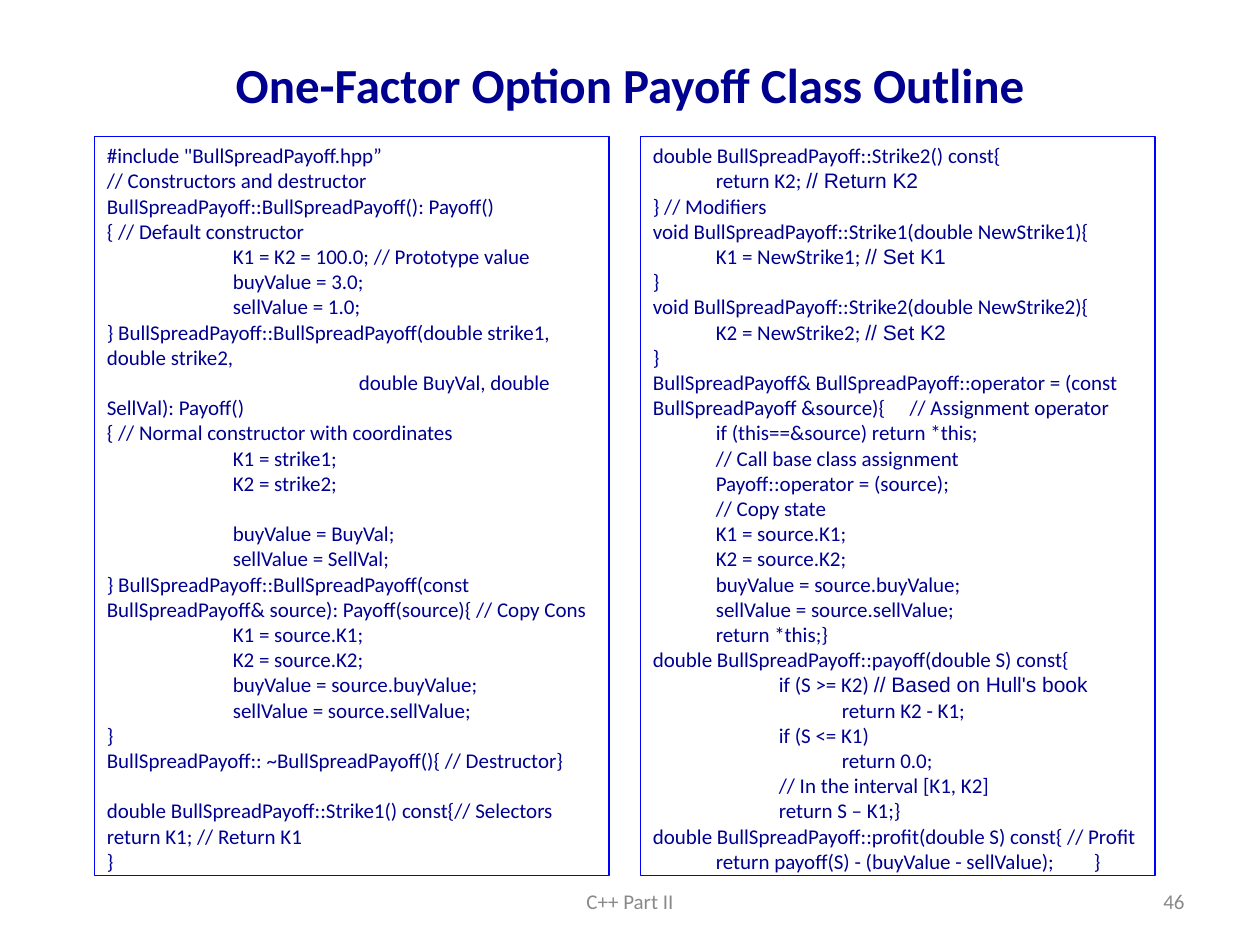
import dataclasses
import typing

import lxml.etree
import pptx
import pptx.dml.color
import pptx.enum.shapes
import pptx.enum.text
import pptx.oxml.ns
import pptx.util

Pt = pptx.util.Pt
Align = pptx.enum.text.PP_ALIGN
Anchor = pptx.enum.text.MSO_ANCHOR

COLORS = {"navy": "000090", "border": "0000FF", "footer": "898989"}
CODE_LEADING = 14.4


@dataclasses.dataclass(frozen=True)
class Line:
    text: str
    comment: str = ""
    blank_before: bool = False


@dataclasses.dataclass(frozen=True)
class Panel:
    left: float
    tab: float
    lines: typing.List[Line]


@dataclasses.dataclass(frozen=True)
class Label:
    text: str
    box: typing.Tuple[float, float, float, float]
    size: float
    color: str
    align: Align
    bold: bool = False


CONSTRUCTORS = [
    Line('#include "BullSpreadPayoff.hpp”'),
    Line("// Constructors and destructor"),
    Line("BullSpreadPayoff::BullSpreadPayoff(): Payoff()"),
    Line("{ // Default constructor"),
    Line("\tK1 = K2 = 100.0; // Prototype value"),
    Line("\tbuyValue = 3.0;"),
    Line("\tsellValue = 1.0;"),
    Line("} BullSpreadPayoff::BullSpreadPayoff(double strike1, double strike2,"
         "\v\t\tdouble BuyVal, double SellVal): Payoff()"),
    Line("{ // Normal constructor with coordinates"),
    Line("\tK1 = strike1;"),
    Line("\tK2 = strike2;"),
    Line("\tbuyValue = BuyVal;", blank_before=True),
    Line("\tsellValue = SellVal;"),
    Line("} BullSpreadPayoff::BullSpreadPayoff(const BullSpreadPayoff& source): "
         "Payoff(source){ // Copy Cons"),
    Line("\tK1 = source.K1;"),
    Line("\tK2 = source.K2;"),
    Line("\tbuyValue = source.buyValue;"),
    Line("\tsellValue = source.sellValue;"),
    Line("}"),
    Line("BullSpreadPayoff:: ~BullSpreadPayoff(){ // Destructor}"),
    Line("double BullSpreadPayoff::Strike1() const{// Selectors return K1; // Return K1",
         blank_before=True),
    Line("}"),
]

MEMBERS = [
    Line("double BullSpreadPayoff::Strike2() const{"),
    Line("\treturn K2; ", "// Return K2"),
    Line("} // Modifiers"),
    Line("void BullSpreadPayoff::Strike1(double NewStrike1){"),
    Line("\tK1 = NewStrike1; ", "// Set K1"),
    Line("}"),
    Line("void BullSpreadPayoff::Strike2(double NewStrike2){"),
    Line("\tK2 = NewStrike2; ", "// Set K2"),
    Line("}"),
    Line("BullSpreadPayoff& BullSpreadPayoff::operator = "
         "(const BullSpreadPayoff &source){\t // Assignment operator"),
    Line("\tif (this==&source) return *this;"),
    Line("\t// Call base class assignment"),
    Line("\tPayoff::operator = (source);"),
    Line("\t// Copy state"),
    Line("\tK1 = source.K1;"),
    Line("\tK2 = source.K2;"),
    Line("\tbuyValue = source.buyValue;"),
    Line("\tsellValue = source.sellValue;"),
    Line("\treturn *this;}"),
    Line("double BullSpreadPayoff::payoff(double S) const{"),
    Line("\t\tif (S >= K2) ", "// Based on Hull's book"),
    Line("\t\t\treturn K2 - K1;"),
    Line("\t\tif (S <= K1)"),
    Line("\t\t\treturn 0.0;"),
    Line("\t\t// In the interval [K1, K2]"),
    Line("\t\treturn S – K1;}"),
    Line("double BullSpreadPayoff::profit(double S) const{ // Profit"),
    Line("\treturn payoff(S) - (buyValue - sellValue);\t}"),
]

PANELS = [Panel(54, 72, CONSTRUCTORS), Panel(366, 36, MEMBERS)]
PANEL_TOP, PANEL_WIDTH, PANEL_HEIGHT = 78, 294, 422.5

LABELS = [
    Label("One-Factor Option Payoff Class Outline", (54, 18, 612, 60), 28, "navy",
          Align.CENTER, bold=True),
    Label("C++ Part II", (246, 500.5, 228, 28.75), 12, "footer", Align.CENTER),
    Label("46", (516, 500.5, 168, 28.75), 12, "footer", Align.RIGHT),
]


def rgb(name: str) -> pptx.dml.color.RGBColor:
    return pptx.dml.color.RGBColor.from_string(COLORS[name])


def add_tabs(paragraph, step: float, reach: float) -> None:
    properties = paragraph._p.get_or_add_pPr()
    qn = pptx.oxml.ns.qn
    tabs = lxml.etree.SubElement(properties, qn("a:tabLst"))
    for stop in range(1, int(reach // step) + 1):
        lxml.etree.SubElement(tabs, qn("a:tab"), pos=str(Pt(stop * step)), algn="l")


def write(frame, lines: typing.List[Line], *, size: float, color: str, align: Align,
          anchor: Anchor, bold: bool = False, tab: float = 0,
          leading: float = 0) -> None:
    frame.word_wrap = True
    frame.vertical_anchor = anchor
    frame.margin_left = frame.margin_right = Pt(7.2)
    frame.margin_top = frame.margin_bottom = Pt(3.6)
    for index, line in enumerate(lines):
        paragraph = frame.add_paragraph() if index else frame.paragraphs[0]
        if tab:
            add_tabs(paragraph, tab, PANEL_WIDTH - 14.4)
        paragraph.alignment = align
        if leading:
            paragraph.line_spacing = Pt(leading)
        if line.blank_before:
            paragraph.space_before = Pt(leading)
        paragraph.text = line.text
        fonts = ["Calibri"] * len(paragraph.runs)
        if line.comment:
            paragraph.add_run().text = line.comment
            fonts.append("Arial")
        for run, font_name in zip(paragraph.runs, fonts):
            run.font.name = font_name
            run.font.size = Pt(size)
            run.font.bold = bold
            run.font.color.rgb = rgb(color)


def draw_panel(slide, panel: Panel) -> None:
    frame_box = slide.shapes.add_shape(
        pptx.enum.shapes.MSO_SHAPE.RECTANGLE,
        Pt(panel.left), Pt(PANEL_TOP), Pt(PANEL_WIDTH), Pt(PANEL_HEIGHT))
    frame_box.shadow.inherit = False
    frame_box.fill.background()
    frame_box.line.color.rgb = rgb("border")
    frame_box.line.width = Pt(0.75)
    write(frame_box.text_frame, panel.lines, size=12, color="navy", align=Align.LEFT,
          anchor=Anchor.TOP, tab=panel.tab, leading=CODE_LEADING)


def draw_label(slide, label: Label) -> None:
    label_box = slide.shapes.add_textbox(*map(Pt, label.box))
    write(label_box.text_frame, [Line(label.text)], size=label.size, color=label.color,
          align=label.align, anchor=Anchor.MIDDLE, bold=label.bold)


def main() -> None:
    deck = pptx.Presentation()
    deck.slide_width, deck.slide_height = Pt(720), Pt(540)
    slide = deck.slides.add_slide(deck.slide_layouts[6])
    for label in LABELS:
        draw_label(slide, label)
    for panel in PANELS:
        draw_panel(slide, panel)
    deck.save("out.pptx")


if __name__ == "__main__":
    main()
